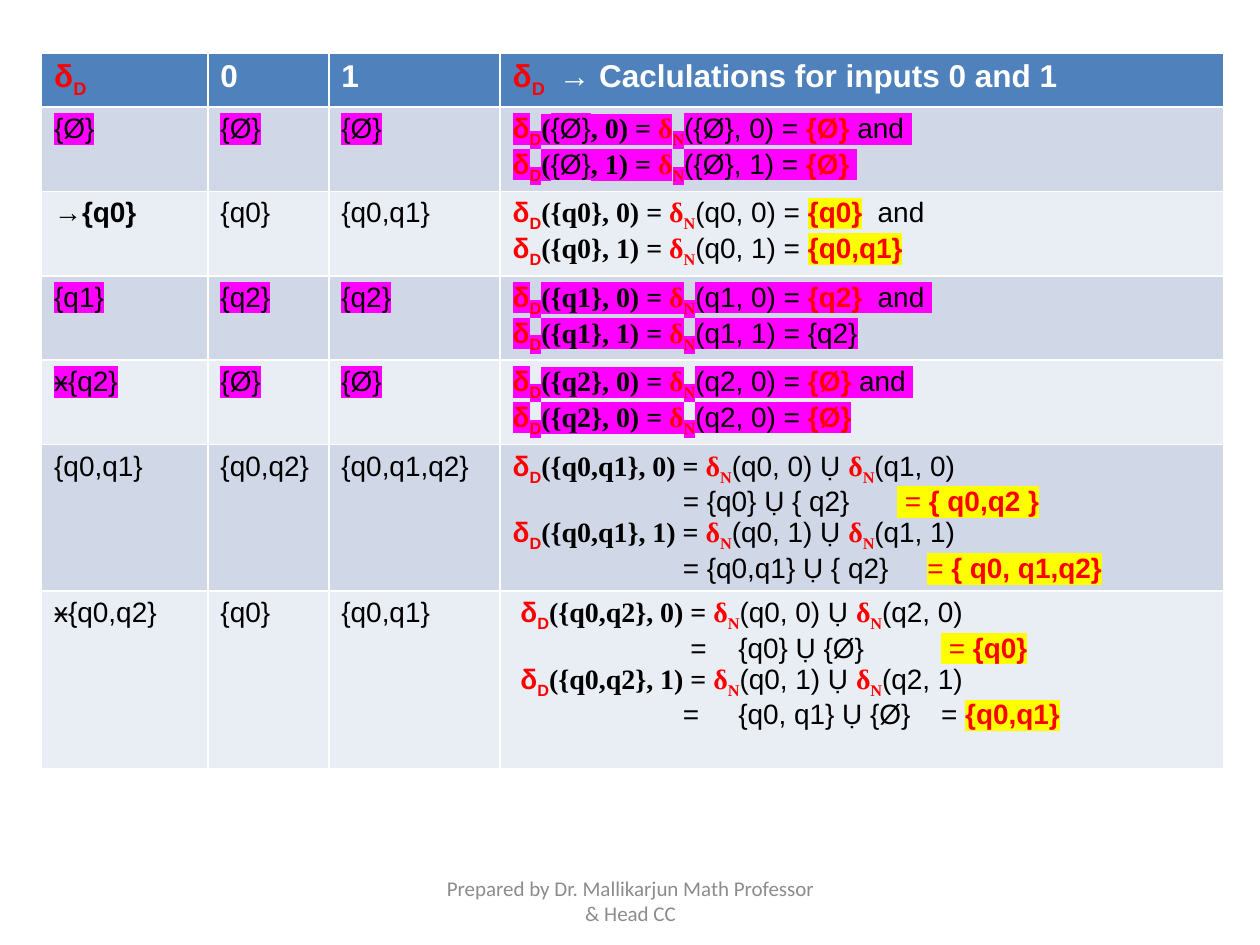
from lxml.etree import SubElement
from pptx import Presentation
from pptx.dml.color import RGBColor
from pptx.enum.text import MSO_ANCHOR, PP_ALIGN
from pptx.oxml.ns import qn
from pptx.util import Inches, Pt

COLORS = {
    "header": "4F81BD", "odd": "D0D8E8", "even": "E9EDF4",
    "white": "FFFFFF", "black": "000000", "red": "FF0000",
    "magenta": "FF00FF", "yellow": "FFFF00", "gray": "8C8C8C",
}
ARIAL, TIMES = "Arial", "Times New Roman"

# font, color, bold, subscript, highlight
STYLES = {
    "head": (ARIAL, "white", True, False, None),
    "plain": (ARIAL, "black", False, False, None),
    "bold": (ARIAL, "black", True, False, None),
    "times": (TIMES, "black", True, False, None),
    "red": (ARIAL, "red", True, False, None),
    "red sub": (ARIAL, "red", True, True, None),
    "times red": (TIMES, "red", True, False, None),
    "times sub": (TIMES, "red", True, True, None),
    "mark": (ARIAL, "red", True, False, "yellow"),
    "mark thin": (ARIAL, "red", False, False, "yellow"),
}
DELTA_D = [("red", "δ"), ("red sub", "D")]
DELTA_N = [("times red", "δ"), ("times sub", "N")]


def add_runs(p, runs, size, highlight=None):
    for style, text in runs:
        font, color, bold, sub, mark = STYLES[style]
        r = p.add_run()
        r.text = text
        r.font.size = Pt(size)
        r.font.name = font
        r.font.bold = bold
        r.font.color.rgb = RGBColor.from_string(COLORS[color])
        rPr = r._r.get_or_add_rPr()
        if sub:
            rPr.set("baseline", "-25000")
        if mark or highlight:
            hl = rPr.makeelement(qn("a:highlight"), {})
            SubElement(hl, qn("a:srgbClr"), val=COLORS[mark or highlight])
            rPr.find(qn("a:solidFill")).addnext(hl)


def step(state, symbol, *parts):
    return [*DELTA_D, ("times", f"({{{state}}}, {symbol}) = "), *DELTA_N,
            ("plain", f"({parts[0]}, {symbol})"),
            *[run for q in parts[1:]
              for run in [("plain", " Ụ "), *DELTA_N, ("plain", f"({q}, {symbol})")]]]


empty_steps = [
    [*DELTA_D, ("times", "("), ("plain", "{Ø}"), ("times", f", {symbol}) = "),
     *DELTA_N, ("plain", f"({{Ø}}, {symbol}) = "), ("red", "{Ø}"), ("bold", " ")]
    for symbol in (0, 1)
]
empty_steps[0].append(("plain", "and "))

# labels, highlight, calculation lines with their tab stops
ROWS = [
    (["{Ø}", "{Ø}", "{Ø}"], "magenta", [(line, []) for line in empty_steps]),
    (["→{q0}", "{q0}", "{q0,q1}"], None, [
        (step("q0", 0, "q0") + [("plain", " = "), ("mark", "{q0}"),
                                ("bold", " "), ("plain", " and")], []),
        (step("q0", 1, "q0") + [("plain", " = "), ("mark", "{q0,q1}")], []),
    ]),
    (["{q1}", "{q2}", "{q2}"], "magenta", [
        (step("q1", 0, "q1") + [("plain", " = "), ("red", "{q2}"),
                                ("bold", " "), ("plain", " and ")], []),
        (step("q1", 1, "q1") + [("plain", " = {q2}")], []),
    ]),
    (["ӿ{q2}", "{Ø}", "{Ø}"], "magenta", [
        (step("q2", 0, "q2") + [("plain", " = "), ("red", "{Ø}"),
                                ("bold", " "), ("plain", "and ")], []),
        (step("q2", 0, "q2") + [("plain", " = "), ("red", "{Ø}")], []),
    ]),
    (["{q0,q1}", "{q0,q2}", "{q0,q1,q2}"], None, [
        (step("q0,q1", 0, "q0", "q1"), []),
        ([("plain", "\t= {q0} Ụ { q2}\t"), ("mark thin", " = "),
          ("mark", "{ q0,q2 }")], [1.35, 3.05]),
        (step("q0,q1", 1, "q0", "q1"), []),
        ([("plain", "\t= {q0,q1} Ụ { q2}\t"), ("mark thin", "= "),
          ("mark", "{ q0, q1,q2}")], [1.35, 3.29]),
    ]),
    (["ӿ{q0,q2}", "{q0}", "{q0,q1}"], None, [
        ([("plain", " ")] + step("q0,q2", 0, "q0", "q2"), []),
        ([("plain", "\t=\t{q0} Ụ {Ø}\t"), ("mark thin", " = "),
          ("mark", "{q0}")], [1.41, 1.79, 3.4]),
        ([("plain", " ")] + step("q0,q2", 1, "q0", "q2"), []),
        ([("plain", "\t=\t{q0, q1} Ụ {Ø}\t= "), ("mark", "{q0,q1}\t")],
         [1.35, 1.79, 3.4, 4.65]),
    ]),
]
HEADER = [DELTA_D, [("head", "0")], [("head", "1")],
          [("red", "δ"), ("red sub", "D "), ("head", " → Caclulations for inputs 0 and 1")]]
COL_WIDTHS = [1.32, 0.96, 1.36, 5.74]
ROW_HEIGHTS = [0.43, 0.67, 0.67, 0.67, 0.67, 1.16, 1.41]

prs = Presentation()
prs.slide_width, prs.slide_height = Inches(10), Inches(7.5)
s = prs.slides.add_slide(prs.slide_layouts[6])

table = s.shapes.add_table(len(ROW_HEIGHTS), len(COL_WIDTHS), Inches(0.33), Inches(0.42),
                           Inches(sum(COL_WIDTHS)), Inches(sum(ROW_HEIGHTS))).table
for col, width in zip(table.columns, COL_WIDTHS):
    col.width = Inches(width)
for i, (row, height) in enumerate(zip(table.rows, ROW_HEIGHTS)):
    row.height = Inches(height)
    for cell in row.cells:
        cell.fill.solid()
        fill = "header" if i == 0 else "odd" if i % 2 else "even"
        cell.fill.fore_color.rgb = RGBColor.from_string(COLORS[fill])

for j, runs in enumerate(HEADER):
    add_runs(table.cell(0, j).text_frame.paragraphs[0], runs, 18)

for i, (labels, highlight, lines) in enumerate(ROWS, 1):
    for j, label in enumerate(labels):
        style = "bold" if label.startswith("→") else "plain"
        add_runs(table.cell(i, j).text_frame.paragraphs[0], [(style, label)], 16, highlight)
    tf = table.cell(i, 3).text_frame
    for k, (runs, stops) in enumerate(lines):
        p = tf.paragraphs[0] if k == 0 else tf.add_paragraph()
        if stops:
            tabs = SubElement(p._p.get_or_add_pPr(), qn("a:tabLst"))
            for stop in stops:
                SubElement(tabs, qn("a:tab"), pos=str(Inches(stop)), algn="l")
        add_runs(p, runs, 16, highlight)

sp = s.shapes.add_textbox(Inches(3.42), Inches(6.95), Inches(3.17), Inches(0.4))
tf = sp.text_frame
tf.word_wrap = True
tf.vertical_anchor = MSO_ANCHOR.MIDDLE
p = tf.paragraphs[0]
p.alignment = PP_ALIGN.CENTER
r = p.add_run()
r.text = "Prepared by Dr. Mallikarjun Math Professor & Head CC"
r.font.size = Pt(12)
r.font.name = "Calibri"
r.font.color.rgb = RGBColor.from_string(COLORS["gray"])

prs.save("out.pptx")
